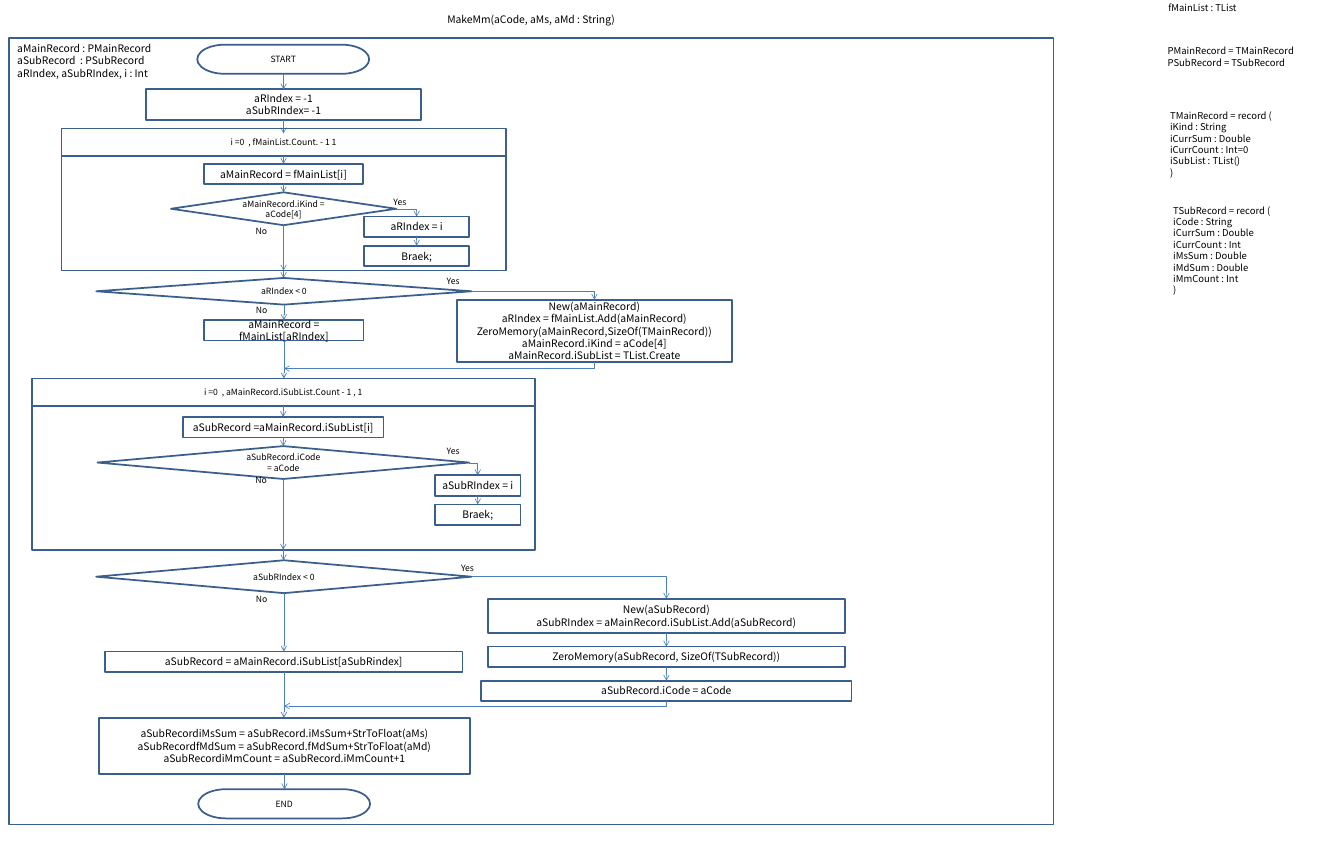
"""Draw the MakeMm flowchart with its record types."""
import lxml.etree
import pptx
import pptx.dml.color
import pptx.enum.shapes
import pptx.enum.text
import pptx.oxml.ns
import pptx.util

Inches = pptx.util.Inches
COLORS = {"edge": "3A5F8C", "link": "4B7EBC", "text": "000000"}
FONT = "Noto Sans CJK KR"
SHAPE = pptx.enum.shapes.MSO_SHAPE
LINK = pptx.enum.shapes.MSO_CONNECTOR
ALIGN = pptx.enum.text.PP_ALIGN
ANCHOR = pptx.enum.text.MSO_ANCHOR
ROW = 0.33
LABEL = 0.17


def paint(name):
    return pptx.dml.color.RGBColor.from_string(COLORS[name])


def write(shape, lines, size, align, anchor, pad=(0, 0)):
    frame = shape.text_frame
    frame.word_wrap = True
    frame.vertical_anchor = anchor
    frame.margin_left = frame.margin_right = Inches(pad[0])
    frame.margin_top = frame.margin_bottom = Inches(pad[1])
    for i, line in enumerate(lines):
        para = frame.paragraphs[0] if i == 0 else frame.add_paragraph()
        para.alignment = align
        run = para.add_run()
        run.text = line
        run.font.size = pptx.util.Pt(size)
        run.font.name = FONT
        run.font.color.rgb = paint("text")


def node(slide, box, lines=(), size=12, kind=SHAPE.RECTANGLE):
    shape = slide.shapes.add_shape(kind, *map(Inches, box))
    shape.shadow.inherit = False
    shape.fill.background()
    shape.line.color.rgb = paint("edge")
    shape.line.width = pptx.util.Pt(2)
    write(shape, lines, size, ALIGN.CENTER, ANCHOR.MIDDLE)


def test(slide, box, lines):
    node(slide, box, lines, 10, SHAPE.FLOWCHART_DECISION)


def note(slide, box, lines, size=11, pad=(0.1, 0.05)):
    text = slide.shapes.add_textbox(*map(Inches, box))
    write(text, lines, size, ALIGN.LEFT, ANCHOR.TOP, pad)


def label(slide, x, y, word):
    note(slide, (x, y, 0.4, LABEL), [word], 10, (0, 0))


def link(slide, start, end, kind=LINK.STRAIGHT):
    line = slide.shapes.add_connector(kind, *map(Inches, (*start, *end)))
    line.line.color.rgb = paint("link")
    line.line.width = pptx.util.Pt(0.75)
    qn = pptx.oxml.ns.qn
    props = line.line._get_or_add_ln()
    lxml.etree.SubElement(props, qn("a:tailEnd"), type="arrow")
    lxml.etree.SubElement(props.getparent(), qn("a:effectLst"))
    return line


def bend(slide, start, end, drop=False):
    """Turn one corner, across first or, with drop, down first and then left."""
    if drop:
        x, y = (start[0] + end[0]) / 2, (start[1] + end[1]) / 2
        w, h = end[1] - start[1], start[0] - end[0]
        start, end = (x - w / 2, y - h / 2), (x + w / 2, y + h / 2)
    line = link(slide, start, end, LINK.ELBOW)
    form = line.line._get_or_add_ln().getparent()
    form.find(pptx.oxml.ns.qn("a:prstGeom")).set("prst", "bentConnector2")
    if drop:
        form.find(pptx.oxml.ns.qn("a:xfrm")).set("rot", "5400000")


def page(slide, box):
    x, y, w, h = box
    node(slide, box)
    title = slide.shapes.add_textbox(*map(Inches, (x, y - 0.55, w, 0.5)))
    write(title, ["MakeMm(aCode, aMs, aMd : String)"], 12, ALIGN.CENTER, ANCHOR.MIDDLE)
    note(slide, (x + 0.04, y + 0.02, 3.16, 0.71),
         ["aMainRecord : PMainRecord", "aSubRecord  : PSubRecord",
          "aRIndex, aSubRIndex, i : Int"], 12)


def types(slide, box):
    x, y, w, h = box
    note(slide, (x + 0.01, y - 0.01, w, 0.29), ["fMainList : TList"])
    note(slide, (x, y + 0.68, w, 0.47),
         ["PMainRecord = TMainRecord", "PSubRecord = TSubRecord"])
    note(slide, (x + 0.04, y + 1.72, w, 1.21),
         ["TMainRecord = record (", "iKind : String", "iCurrSum : Double",
          "iCurrCount : Int=0", "iSubList : TList()", ")"])
    note(slide, (x + 0.09, y + 3.25, w, 1.58),
         ["TSubRecord = record (", "iCode : String", "iCurrSum : Double",
          "iCurrCount : Int", "iMsSum : Double", "iMdSum : Double",
          "iMmCount : Int", ")"])


def start(slide, box):
    x, y, w, h = box
    mid = x + w / 2
    node(slide, (mid - 1.39, y, 2.77, 0.47), ["START"], 10, SHAPE.FLOWCHART_TERMINATOR)
    node(slide, (x, y + 0.72, w, 0.49), ["aRIndex = -1", "aSubRIndex= -1"])
    link(slide, (mid, y + 0.47), (mid, y + 0.72))
    link(slide, (mid, y + 1.21), (mid, y + 1.43))


def finish(slide, box):
    x, y, w, h = box
    mid = x + w / 2
    node(slide, (x, y, w, 0.91),
         ["aSubRecordiMsSum = aSubRecord.iMsSum+StrToFloat(aMs)",
          "aSubRecordfMdSum = aSubRecord.fMdSum+StrToFloat(aMd)",
          "aSubRecordiMmCount = aSubRecord.iMmCount+1"])
    link(slide, (mid, y + 0.91), (mid, y + 1.15))
    node(slide, (mid - 1.39, y + 1.15, 2.77, 0.47), ["END"], 10, SHAPE.FLOWCHART_TERMINATOR)


def loop(slide, box, head, load, check, hit, yes, no):
    """Draw a loop; load, check and hit hold offset, width and text."""
    x, y, w, h = box
    mid = x + w / 2
    top = 0.44
    node(slide, (x, y, w, top), [head], 10)
    node(slide, (x, y + top, w, h - top))
    dy, wide, text = load
    node(slide, (mid - wide / 2, y + dy, wide, ROW), [text])
    link(slide, (mid, y + top), (mid, y + dy))
    link(slide, (mid, y + dy + ROW), (mid, y + check[0]))
    dy, wide, lines = check
    test(slide, (mid - wide / 2, y + dy, wide, 0.53), lines)
    link(slide, (mid, y + dy + 0.53), (mid, y + h))
    dx, hy, span, text = hit
    hub = x + dx + span / 2
    bend(slide, (mid + wide / 2, y + dy + 0.27), (hub, y + hy))
    for row, word in enumerate([text, "Braek;"]):
        node(slide, (x + dx, y + hy + row * 0.47, span, ROW), [word])
    link(slide, (hub, y + hy + ROW), (hub, y + hy + 0.47))
    label(slide, x + yes[0], y + yes[1], "Yes")
    label(slide, mid - 0.45, y + no, "No")


def fork(slide, box, text, tall, miss, hub, hits, join, yes, no):
    """Split at a test, run both sides and join above the box's foot."""
    x, y, w, h = box
    mid, hub = x + w / 2, x + hub
    test(slide, (x, y, w, tall), [text])
    dy, wide, word = miss
    node(slide, (mid - wide / 2, y + dy, wide, ROW), [word])
    link(slide, (mid, y + tall), (mid, y + dy))
    link(slide, (mid, y + dy + ROW), (mid, y + h))
    foot = None
    for dy, wide, high, lines in hits:
        node(slide, (hub - wide / 2, y + dy, wide, high), lines)
        if foot is None:
            bend(slide, (x + w, y + tall / 2), (hub, y + dy))
        else:
            link(slide, (hub, foot), (hub, y + dy))
        foot = y + dy + high
    bend(slide, (hub, foot), (mid, y + join), drop=True)
    label(slide, x + yes[0], y + yes[1], "Yes")
    label(slide, mid - 0.45, y + no, "No")


def main():
    deck = pptx.Presentation()
    deck.slide_width, deck.slide_height = Inches(21.66), Inches(13.78)
    slide = deck.slides.add_slide(deck.slide_layouts[6])
    page(slide, (0.14, 0.61, 16.84, 12.68))
    types(slide, (18.72, 0, 2.4, 4.83))
    start(slide, (2.35, 0.72, 4.44, 1.43))
    loop(slide, (0.99, 2.07, 7.16, 2.29), "i =0  , fMainList.Count. - 1 1",
         (0.57, 2.57, "aMainRecord = fMainList[i]"),
         (1.03, 3.63, ["aMainRecord.iKind = aCode[4]"]),
         (4.88, 1.42, 1.69, "aRIndex = i"), (5.35, 1.1), 1.57)
    link(slide, (4.57, 4.36), (4.57, 4.48))
    fork(slide, (1.55, 4.48, 6.05, 1.62), "aRIndex < 0", 0.43,
         (0.68, 2.57, "aMainRecord = fMainList[aRIndex]"), 8.03,
         [(0.35, 4.44, 1.01,
           ["New(aMainRecord)", "aRIndex = fMainList.Add(aMainRecord)",
            "ZeroMemory(aMainRecord,SizeOf(TMainRecord))",
            "aMainRecord.iKind = aCode[4]", "aMainRecord.iSubList = TList.Create"])],
         1.46, (5.65, -0.04), 0.43)
    loop(slide, (0.51, 6.1, 8.11, 2.76), "i =0  , aMainRecord.iSubList.Count - 1 , 1",
         (0.62, 3.23, "aSubRecord =aMainRecord.iSubList[i]"),
         (1.09, 5.99, ["aSubRecord.iCode", "= aCode"]),
         (6.5, 1.56, 1.38, "aSubRIndex = i"), (6.69, 1.09), 1.56)
    link(slide, (4.57, 8.86), (4.57, 9.03))
    fork(slide, (1.55, 9.03, 6.05, 2.54), "aSubRIndex < 0", 0.53,
         (1.47, 5.76, "aSubRecord = aMainRecord.iSubList[aSubRindex]"), 9.19,
         [(0.62, 5.76, 0.55,
           ["New(aSubRecord)", "aSubRIndex = aMainRecord.iSubList.Add(aSubRecord)"]),
          (1.39, 5.76, ROW, ["ZeroMemory(aSubRecord, SizeOf(TSubRecord))"]),
          (1.94, 5.97, ROW, ["aSubRecord.iCode = aCode"])],
         2.35, (5.88, 0.05), 0.54)
    finish(slide, (1.6, 11.57, 5.97, 1.62))
    deck.save("out.pptx")


main()
